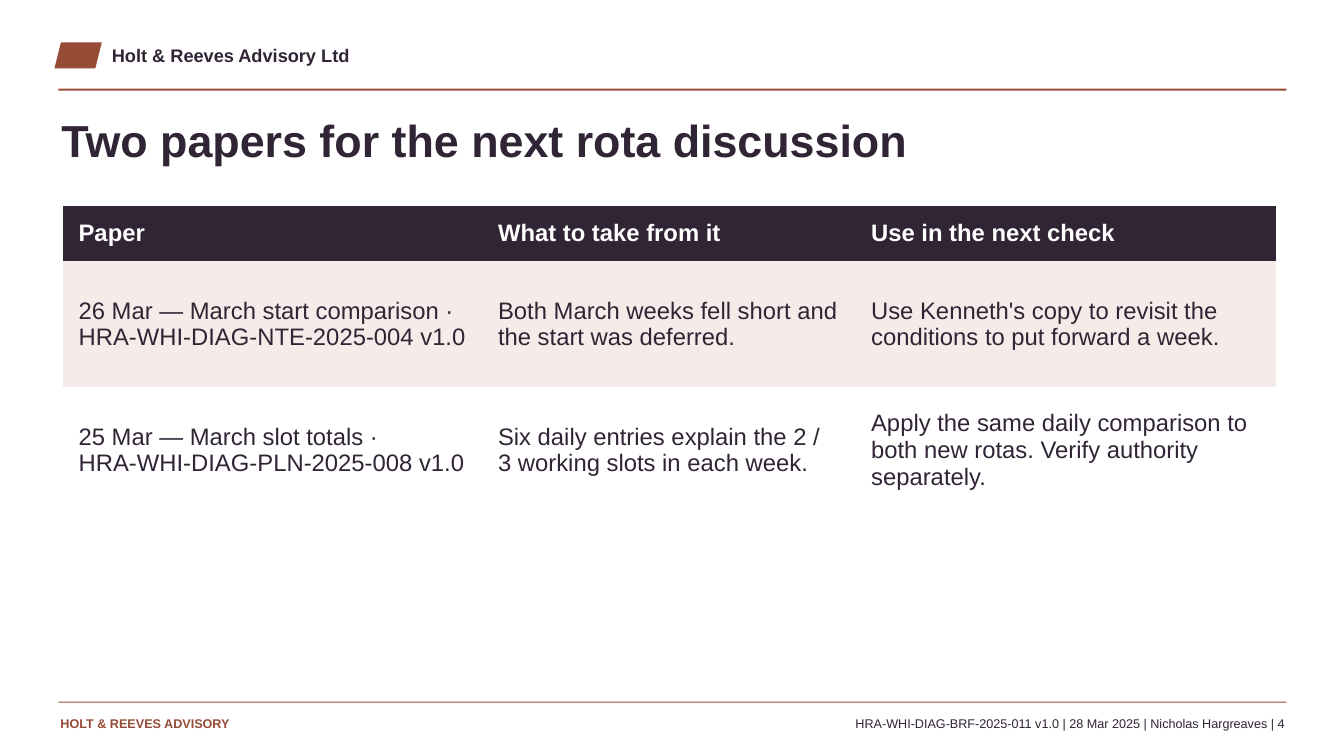
from pptx import Presentation
from pptx.dml.color import RGBColor
from pptx.enum.shapes import MSO_SHAPE
from pptx.enum.text import MSO_ANCHOR, PP_ALIGN
from pptx.util import Inches, Pt

LEFT, RIGHT = PP_ALIGN.LEFT, PP_ALIGN.RIGHT
TOP, MIDDLE = MSO_ANCHOR.TOP, MSO_ANCHOR.MIDDLE
RECT, SLANT = MSO_SHAPE.RECTANGLE, MSO_SHAPE.PARALLELOGRAM
FONT = "Arial"
PLUM, RUST, BLUSH, WHITE = "302435", "964B37", "F4ECE8", "FFFFFF"
NO_STYLE = "{2D5ABB26-0587-4C30-8999-92F81FD0307C}"

COLS = [4.16, 3.7, 4.18]
ROWS = [0.55, 1.25, 1.25]
PAPERS = [
    ["Paper", "What to take from it", "Use in the next check"],
    ["26 Mar — March start comparison ·\vHRA-WHI-DIAG-NTE-2025-004 v1.0",
     "Both March weeks fell short and the start was deferred.",
     "Use Kenneth's copy to revisit the conditions to put forward a week."],
    ["25 Mar — March slot totals ·\vHRA-WHI-DIAG-PLN-2025-008 v1.0",
     "Six daily entries explain the 2 / 3 working slots in each week.",
     "Apply the same daily comparison to both new rotas. Verify authority separately."],
]


def paint(fill, color):
    fill.solid()
    fill.fore_color.rgb = RGBColor.from_string(color)


def write(frame, text, size, color, bold=False, align=LEFT):
    frame.text = text
    frame.word_wrap = True
    for para in frame.paragraphs:
        para.alignment = align
        font = para.font
        font.name, font.size, font.bold = FONT, Pt(size), bold
        font.color.rgb = RGBColor.from_string(color)


def inset(frame, top=0):
    frame.margin_left = frame.margin_right = frame.margin_bottom = 0
    frame.margin_top = Inches(top)
    frame.vertical_anchor = TOP


def add_label(slide, box, *args, **style):
    frame = slide.shapes.add_textbox(*map(Inches, box)).text_frame
    inset(frame)
    write(frame, *args, **style)


def add_block(slide, kind, box, color):
    shape = slide.shapes.add_shape(kind, *map(Inches, box))
    shape.shadow.inherit = False
    paint(shape.fill, color)
    shape.line.fill.background()


def add_header(slide, x, y, w):
    add_block(slide, SLANT, (x - 0.04, y, 0.47, 0.26), RUST)
    add_label(slide, (x + 0.53, y + 0.02, 6, 0.27),
              "Holt & Reeves Advisory Ltd", 13, PLUM, bold=True)
    add_block(slide, RECT, (x, y + 0.46, w, 0.02), RUST)


def add_footer(slide, x, y, w):
    add_block(slide, RECT, (x, y, w, 0.01), RUST)
    add_label(slide, (x + 0.02, y + 0.14, 3.4, 0.25),
              "HOLT & REEVES ADVISORY", 9, RUST, bold=True)
    add_label(slide, (x + w - 8.64, y + 0.14, 8.62, 0.21),
              "HRA-WHI-DIAG-BRF-2025-011 v1.0 | 28 Mar 2025 | Nicholas Hargreaves | 4",
              9, PLUM, align=RIGHT)


def set_title(slide, box, text):
    title = slide.shapes.title
    title.left, title.top, title.width, title.height = map(Inches, box)
    inset(title.text_frame, top=0.05)
    write(title.text_frame, text, 32, PLUM, bold=True)


def add_papers(slide, x, y):
    box = map(Inches, (x, y, sum(COLS), sum(ROWS)))
    table = slide.shapes.add_table(len(ROWS), len(COLS), *box).table
    table._tbl.tblPr[0].text = NO_STYLE
    for col, width in zip(table.columns, COLS):
        col.width = Inches(width)
    fills = [PLUM, BLUSH, WHITE]
    for i, (row, height, texts) in enumerate(zip(table.rows, ROWS, PAPERS)):
        row.height = Inches(height)
        for cell, text in zip(row.cells, texts):
            paint(cell.fill, fills[i])
            cell.margin_left = cell.margin_right = Inches(0.16)
            cell.margin_top = cell.margin_bottom = Inches(0.05)
            cell.vertical_anchor = MIDDLE
            write(cell.text_frame, text, 17, PLUM if i else WHITE, bold=i == 0)


def main():
    deck = Presentation()
    deck.slide_width, deck.slide_height = Inches(13.33), Inches(7.5)
    slide = deck.slides.add_slide(deck.slide_layouts[5])
    paint(slide.background.fill, WHITE)
    add_header(slide, 0.58, 0.42, 12.18)
    set_title(slide, (0.61, 1.07, 12, 0.78), "Two papers for the next rota discussion")
    add_papers(slide, 0.62, 2.04)
    add_footer(slide, 0.58, 6.96, 12.18)
    deck.save("out.pptx")


if __name__ == "__main__":
    main()
